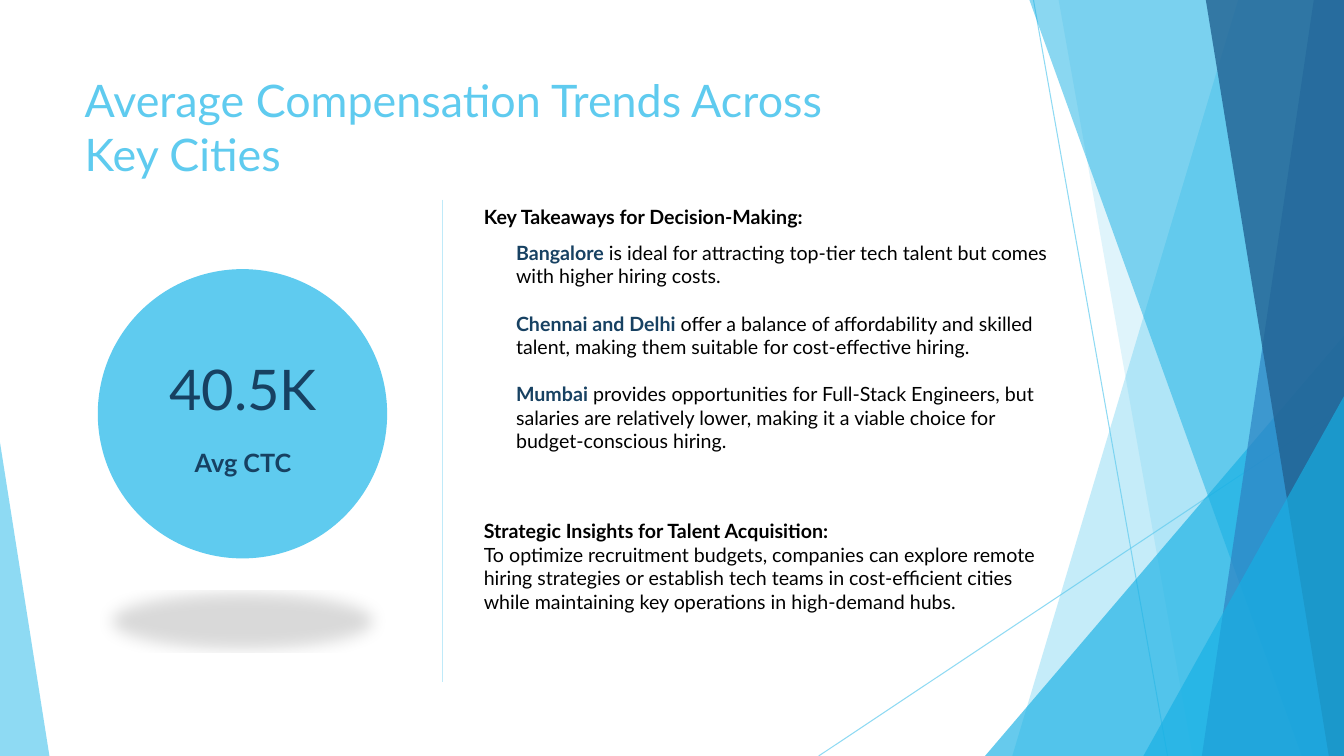
from lxml import etree
from pptx import Presentation
from pptx.dml.color import RGBColor
from pptx.enum.shapes import MSO_CONNECTOR, MSO_SHAPE
from pptx.enum.text import MSO_ANCHOR, MSO_AUTO_SIZE, PP_ALIGN
from pptx.oxml import parse_xml
from pptx.oxml.ns import nsdecls, qn
from pptx.util import Inches, Pt

STRAIGHT = MSO_CONNECTOR.STRAIGHT
TRIANGLE = MSO_SHAPE.ISOSCELES_TRIANGLE
OVAL = MSO_SHAPE.OVAL
TOP = MSO_ANCHOR.TOP
NO_AUTOFIT = MSO_AUTO_SIZE.NONE
LEFT, CENTER = PP_ALIGN.LEFT, PP_ALIGN.CENTER

FONT = "Lato"
WIDTH, HEIGHT = 13.33, 7.5
SKY, CYAN, NAVY, BLACK = "5FCBEF", "17B0E4", "174162", "000000"

THIN_LINES = [((10.25, 0), (11.58, HEIGHT)), ((WIDTH, 4.03), (8.12, HEIGHT))]
BACK_BANDS = [(12.28, 10.04, SKY, 36), (10.5, 11.83, SKY, 20)]
FRONT_BANDS = [(10.21, 12.91, CYAN, 50), (13.03, 11.92, "2E83C3", 70),
               (11.96, 13.18, "226292", 80)]

TAKEAWAYS = [
    [("Bangalore", NAVY, True),
     (" is ideal for attracting top-tier tech talent but comes with higher "
      "hiring costs.", BLACK, False)],
    [("Chennai and Delhi ", NAVY, True),
     ("offer a balance of affordability and skilled talent, making them "
      "suitable for cost-effective hiring.", BLACK, False)],
    [("Mumbai", NAVY, True),
     (" provides opportunities for Full-Stack Engineers, but salaries are "
      "relatively lower, making it a viable choice for budget-conscious "
      "hiring.", BLACK, False)],
]
INSIGHTS = [
    [("Strategic Insights for Talent Acquisition:", BLACK, True)],
    [("To optimize recruitment budgets, companies can explore remote hiring "
      "strategies or establish tech teams in cost-efficient cities while "
      "maintaining key operations in high-demand hubs.", BLACK, False)],
]


def color(value):
    """Turn a hex string into a colour."""
    return RGBColor.from_string(value)


def set_alpha(fill_element, opacity):
    """Give the solid colour in an element an opacity in percent."""
    rgb = fill_element.find(".//" + qn("a:srgbClr"))
    etree.SubElement(rgb, qn("a:alpha")).set("val", str(opacity * 1000))


def paint(shape, fill, opacity=100):
    """Fill a shape and remove its line and shadow."""
    shape.shadow.inherit = False
    shape.fill.solid()
    shape.fill.fore_color.rgb = color(fill)
    shape.line.fill.background()
    if opacity < 100:
        set_alpha(shape.fill._xPr, opacity)


def add_line(slide, start, end, line_color, width, opacity=100):
    """Draw a straight line between two points."""
    line = slide.shapes.add_connector(
        STRAIGHT, *(Inches(value) for value in (*start, *end)))
    line.line.color.rgb = color(line_color)
    line.line.width = Pt(width)
    properties = line._element.spPr
    if opacity < 100:
        set_alpha(properties.find(qn("a:ln")), opacity)
    etree.SubElement(properties, qn("a:effectLst"))


def add_band(slide, top_x, bottom_x, fill, opacity):
    """Draw a band from a slanted left edge to the right slide edge."""
    builder = slide.shapes.build_freeform(Inches(top_x), 0)
    corners = [(WIDTH, 0), (WIDTH, HEIGHT), (bottom_x, HEIGHT)]
    builder.add_line_segments([(Inches(x), Inches(y)) for x, y in corners])
    paint(builder.convert_to_shape(), fill, opacity)


def add_triangle(slide, left, width, height, apex, fill, opacity):
    """Draw a triangle standing on the bottom slide edge."""
    triangle = slide.shapes.add_shape(
        TRIANGLE, Inches(left), Inches(HEIGHT - height), Inches(width), Inches(height))
    triangle.adjustments[0] = apex
    paint(triangle, fill, opacity)


def add_backdrop(slide):
    """Draw the translucent facets around the slide."""
    for start, end in THIN_LINES:
        add_line(slide, start, end, SKY, 0.75, 70)
    for band in BACK_BANDS:
        add_band(slide, *band)
    add_triangle(slide, 9.77, 3.56, 4.17, 1, CYAN, 66)
    for band in FRONT_BANDS:
        add_band(slide, *band)
    add_triangle(slide, 11.34, 1.99, 3.57, 1, CYAN, 66)
    add_triangle(slide, 0, 0.49, 3.11, 0, SKY, 70)


def add_circle(slide):
    """Draw the figure's circle with a flattened shadow below it."""
    circle = slide.shapes.add_shape(
        OVAL, Inches(0.97), Inches(2.67), Inches(2.87), Inches(2.87))
    paint(circle, SKY)
    circle._element.spPr.find(qn("a:effectLst")).append(parse_xml(
        f'<a:outerShdw {nsdecls("a")} blurRad="{Pt(12)}" dist="{Pt(25)}" '
        'dir="5400000" sx="90000" sy="-19000" rotWithShape="0">'
        '<a:srgbClr val="000000"><a:alpha val="15000"/></a:srgbClr>'
        '</a:outerShdw>'))


def add_text(slide, box, paragraphs, size=14, align=LEFT, gap=0):
    """Add a wrapped text box from paragraphs of (text, colour, bold) runs."""
    text_box = slide.shapes.add_textbox(*(Inches(value) for value in box))
    frame = text_box.text_frame
    frame.word_wrap = True
    for index, runs in enumerate(paragraphs):
        paragraph = frame.add_paragraph() if index else frame.paragraphs[0]
        paragraph.alignment = align
        paragraph.font.name = FONT
        paragraph.font.size = Pt(size)
        if index and gap:
            paragraph.space_before = Pt(gap)
        for text, run_color, bold in runs:
            run = paragraph.add_run()
            run.text = text
            run.font.color.rgb = color(run_color)
            run.font.bold = bold


def set_title(slide, text):
    """Place and format the title placeholder."""
    title = slide.shapes.title
    title.left, title.top = Inches(0.74), Inches(0.67)
    title.width, title.height = Inches(9.4), Inches(1.11)
    frame = title.text_frame
    frame.text = text
    frame.auto_size = NO_AUTOFIT
    frame.vertical_anchor = TOP
    paragraph = frame.paragraphs[0]
    paragraph.alignment = LEFT
    paragraph.font.name = FONT
    paragraph.font.size = Pt(32)
    paragraph.font.color.rgb = color(SKY)


def main():
    """Build the compensation slide."""
    presentation = Presentation()
    presentation.slide_width = Inches(WIDTH)
    presentation.slide_height = Inches(HEIGHT)
    slide = presentation.slides.add_slide(presentation.slide_layouts[5])
    add_backdrop(slide)
    set_title(slide, "Average Compensation Trends Across\vKey Cities")
    add_circle(slide)
    add_text(slide, (1.32, 4.39, 2.18, 0.4), [[("Avg CTC", NAVY, True)]], 18, CENTER)
    add_text(slide, (1.32, 3.47, 2.18, 0.77), [[("40.5K", NAVY, False)]], 40, CENTER)
    add_line(slide, (4.39, 1.98), (4.39, 6.77), "BFEAF9", 1)
    add_text(slide, (4.7, 5.1, 5.9, 1.04), INSIGHTS)
    add_text(slide, (5.02, 2.34, 5.57, 2.22), TAKEAWAYS, gap=16.8)
    add_text(slide, (4.7, 1.98, 5.9, 0.34),
             [[("Key Takeaways for Decision-Making:", BLACK, True)]])
    presentation.save("out.pptx")


if __name__ == "__main__":
    main()
